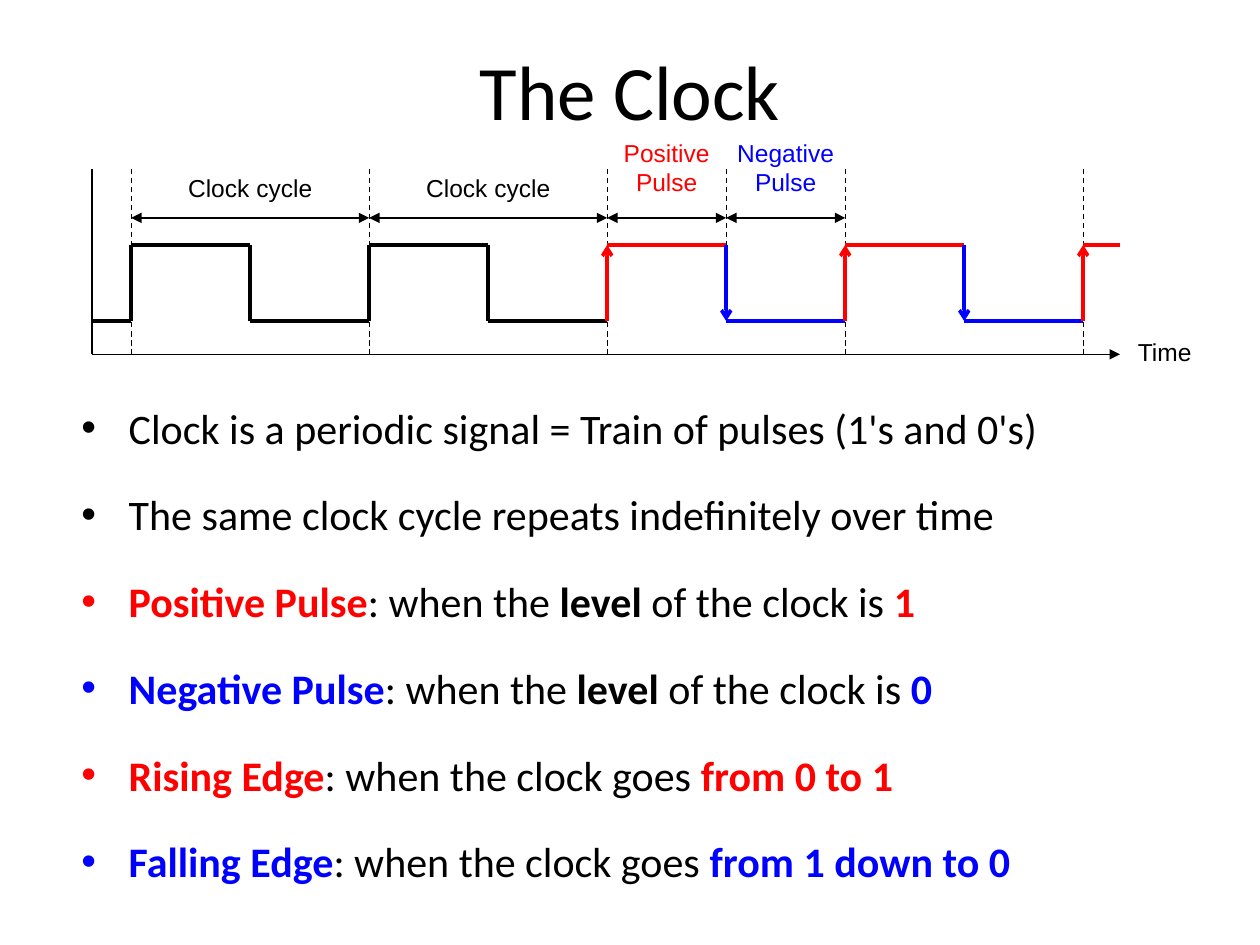
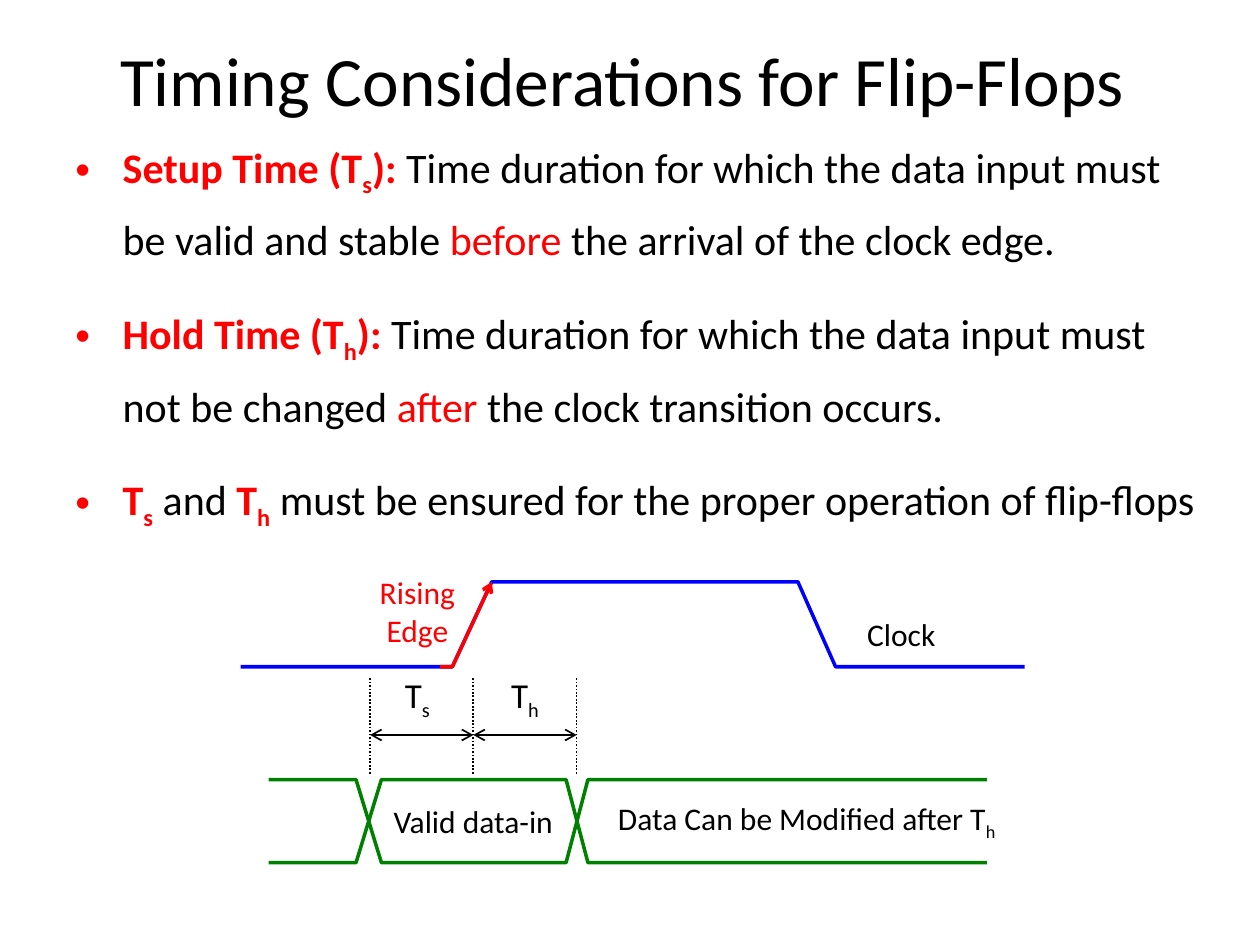
from dataclasses import dataclass
from typing import NamedTuple

from lxml.etree import SubElement
from pptx import Presentation
from pptx.dml.color import RGBColor as RGB
from pptx.enum.dml import MSO_LINE as DASH
from pptx.enum.shapes import MSO_CONNECTOR as CONN
from pptx.enum.text import MSO_ANCHOR as ANCHOR, MSO_AUTO_SIZE as FIT, PP_ALIGN as ALIGN
from pptx.oxml.ns import qn
from pptx.util import Pt


@dataclass(frozen=True)
class Theme:
    ink: RGB = RGB(0, 0, 0)
    paper: RGB = RGB(255, 255, 255)
    red: RGB = RGB(255, 0, 0)
    blue: RGB = RGB(0, 0, 255)
    green: RGB = RGB(0, 128, 0)
    font: str = "Calibri"
    label_font: str = "Arial"
    title: float = 44
    long_title: float = 39.6
    body: float = 24
    symbol: float = 20
    label: float = 18
    small: float = 14
    signal: float = 2
    thin: float = 0.75
    guide: float = 1


T = Theme()


class Seg(NamedTuple):
    """A piece of text with its own colour and weight."""
    text: str
    color: RGB = T.ink
    bold: bool = False
    sub: bool = False


# Text

def key(text, color=T.red):
    return Seg(text, color, bold=True)


def timing(name, color=T.ink, bold=False):
    """T with a subscript, such as Ts or Th."""
    return [Seg("T", color, bold), Seg(name, color, bold, sub=True)]


def write(p, segs, size, font=T.font):
    for seg in segs:
        r = p.add_run()
        r.text = seg.text
        f = r.font
        f.name, f.size, f.bold = font, Pt(size), seg.bold
        f.color.rgb = seg.color
        if seg.sub:
            r._r.get_or_add_rPr().set("baseline", "-25000")


def add_title(slide, text, top, size):
    sp = slide.shapes.title
    sp.left, sp.top, sp.width, sp.height = Pt(36), Pt(top), Pt(648), Pt(90)
    tf = sp.text_frame
    tf.text = text
    tf.auto_size, tf.vertical_anchor = FIT.NONE, ANCHOR.MIDDLE
    p = tf.paragraphs[0]
    p.alignment = ALIGN.CENTER
    f = p.runs[0].font
    f.name, f.size = T.font, Pt(size)
    f.color.rgb = T.ink


def add_bullets(slide, box, items, spacing):
    tf = slide.shapes.add_textbox(*map(Pt, box)).text_frame
    tf.word_wrap = True
    for i, segs in enumerate(items):
        p = tf.paragraphs[0] if i == 0 else tf.add_paragraph()
        p.line_spacing = spacing
        p.space_before = Pt(15 if i else 0)
        pPr = p._p.get_or_add_pPr()
        pPr.set("marL", str(Pt(27)))
        pPr.set("indent", str(-Pt(27)))
        SubElement(pPr, qn("a:buFont")).set("typeface", T.label_font)
        SubElement(pPr, qn("a:buChar")).set("char", "•")
        write(p, segs, T.body)


def add_label(slide, cx, cy, lines, size=T.label, font=T.font, w=60, h=30, fill=None):
    """Centred text around the point (cx, cy), one list of segments a line."""
    sp = slide.shapes.add_textbox(Pt(cx - w / 2), Pt(cy - h / 2), Pt(w), Pt(h))
    if fill is not None:
        sp.fill.solid()
        sp.fill.fore_color.rgb = fill
    tf = sp.text_frame
    tf.word_wrap, tf.vertical_anchor = False, ANCHOR.MIDDLE
    tf.margin_left = tf.margin_right = tf.margin_top = tf.margin_bottom = 0
    for i, segs in enumerate(lines):
        p = tf.paragraphs[0] if i == 0 else tf.add_paragraph()
        p.alignment = ALIGN.CENTER
        write(p, segs, size, font)


# Lines

def style_line(sp, color, width, dash=None, head=None, tail=None):
    sp.line.color.rgb = color
    sp.line.width = Pt(width)
    if dash:
        sp.line.dash_style = dash
    ln = sp.line._get_or_add_ln()
    for tag, arrow in (("a:headEnd", head), ("a:tailEnd", tail)):
        if arrow:
            SubElement(ln, qn(tag)).set("type", arrow)


def add_line(slide, x1, y1, x2, y2, color=T.ink, width=T.thin, **style):
    cxn = slide.shapes.add_connector(CONN.STRAIGHT, Pt(x1), Pt(y1), Pt(x2), Pt(y2))
    style_line(cxn, color, width, **style)
    SubElement(cxn._element.spPr, qn("a:effectLst"))


def add_span(slide, x1, x2, y, arrow, width=T.thin):
    add_line(slide, x1, y, x2, y, width=width, head=arrow, tail=arrow)


def add_trace(slide, xs, levels, low, high, color, **style):
    """A signal through the points xs, at level 0 (low) or 1 (high)."""
    pts = [(Pt(x), Pt(high if level else low)) for x, level in zip(xs, levels)]
    fb = slide.shapes.build_freeform(*pts[0])
    fb.add_line_segments(pts[1:], close=False)
    sp = fb.convert_to_shape()
    sp.shadow.inherit = False
    sp.fill.background()
    style_line(sp, color, T.signal, **style)


# Slides

def clock_slide(slide):
    add_title(slide, "The Clock", 6, T.title)
    pulses = [("Positive Pulse", "1", T.red), ("Negative Pulse", "0", T.blue)]
    edges = [("Rising Edge", "from 0 to 1", T.red),
             ("Falling Edge", "from 1 down to 0", T.blue)]
    items = [[Seg("Clock is a periodic signal = Train of pulses (1's and 0's)")],
             [Seg("The same clock cycle repeats indefinitely over time")]]
    items += [[key(name, c), Seg(": when the "), Seg("level", bold=True),
               Seg(" of the clock is "), key(level, c)] for name, level, c in pulses]
    items += [[key(name, c), Seg(": when the clock goes "), key(change, c)]
              for name, change, c in edges]
    add_bullets(slide, (39.5, 220.5, 667.5, 294.5), items, 1.2)

    # Time grid of the diagram
    left, right, cycle = 52.5, 640, 136
    half = cycle / 2
    top, span_y, high, low, axis = 96.5, 124.5, 140, 183.5, 202.5
    rises = [75 + cycle * k for k in range(5)]
    for x in rises:
        add_line(slide, x, top, x, axis, dash=DASH.DASH)
    middle = rises[2] + half
    add_line(slide, middle, top, middle, high, dash=DASH.DASH)

    # Clock signal: two plain cycles, then two with marked edges
    signal = {"width": T.signal}
    add_line(slide, left, low, rises[0], low, **signal)
    for k, x in enumerate(rises):
        marked = k >= 2
        up, down = (T.red, T.blue) if marked else (T.ink, T.ink)
        arrow = "arrow" if marked else None
        fall = min(x + half, right)
        add_line(slide, x, high, fall, high, up, **signal)
        add_line(slide, x, low, x, high, up, tail=arrow, **signal)
        if fall < right:
            add_line(slide, fall, high, fall, low, down, tail=arrow, **signal)
            add_line(slide, fall, low, x + cycle, low, down, **signal)

    # Axes
    add_line(slide, left, axis, right, axis, tail="triangle")
    add_line(slide, left, axis, left, top)
    add_label(slide, 665.5, 201, [[Seg("Time")]], T.small, T.label_font)

    # Cycle and pulse widths
    for x in rises[:2]:
        add_span(slide, x, x + cycle, span_y, "triangle")
        add_label(slide, x + half, 107, [[Seg("Clock cycle")]], T.small, T.label_font, w=90)
    for x, (name, _, color) in zip((rises[2], middle), pulses):
        add_span(slide, x, x + half, span_y, "triangle")
        words = [[Seg(word, color)] for word in name.split()]
        add_label(slide, x + half / 2, 95.5, words, T.small, T.label_font, w=half, h=40)


def timing_slide(slide):
    add_title(slide, "Timing Considerations for Flip-Flops ", 0, T.long_title)
    ts, th = timing("s", T.red, True), timing("h", T.red, True)
    rules = [
        ("Setup Time (", ts, "be valid and stable ", "before", " the arrival of the clock edge."),
        ("Hold Time (", th, "not be changed ", "after", " the clock transition occurs."),
    ]
    items = [[key(name), *symbol, key("): "),
              Seg("Time duration for which the data input must " + demand),
              Seg(when, T.red), Seg(event)] for name, symbol, demand, when, event in rules]
    items.append([*ts, Seg(" and "), *th,
                  Seg(" must be ensured for the proper operation of flip-flops")])
    add_bullets(slide, (36, 67.5, 661, 237.5), items, 1.3)

    # Clock pulse and data labels
    pulse = (0, 0, 1, 1, 0, 0)
    low, high = 381, 332.5
    add_trace(slide, (137.5, 258.5, 281, 456, 477.5, 585.5), pulse, low, high, T.blue)
    add_label(slide, 270.5, 469, [[Seg("Valid data-in")]], w=96.5, fill=T.paper)
    add_label(slide, 461, 469, [[Seg("Data Can be Modified after "), *timing("h")]],
              w=242, fill=T.paper)
    add_trace(slide, (251.5, 258.5, 281), (0, 0, 1), low, high, T.red, tail="arrow")
    add_label(slide, 515, 362.5, [[Seg("Clock")]])
    add_label(slide, 238.5, 349, [[Seg("Rising", T.red)], [Seg("Edge", T.red)]], h=46)

    # Setup and hold windows
    step = 59
    marks = [211.5 + step * k for k in range(3)]
    for x in marks:
        add_line(slide, x, 387.5, x, 443, width=T.guide, dash=DASH.ROUND_DOT)
    for x, cx, name in zip(marks, (238.5, 300), "sh"):
        add_span(slide, x, x + step, 420, "arrow", T.guide)
        add_label(slide, cx, 398.5, [timing(name)], T.symbol, w=33)

    # Data lines, one the mirror of the other
    bus = (153.5, 203.5, 218, 323.5, 336, 564)
    for levels in (pulse, [1 - level for level in pulse]):
        add_trace(slide, bus, levels, 493, 445.5, T.green)


def main():
    prs = Presentation()
    prs.slide_width, prs.slide_height = Pt(720), Pt(540)
    title_only = prs.slide_layouts[5]
    for build in (clock_slide, timing_slide):
        build(prs.slides.add_slide(title_only))
    prs.save("out.pptx")


if __name__ == "__main__":
    main()
